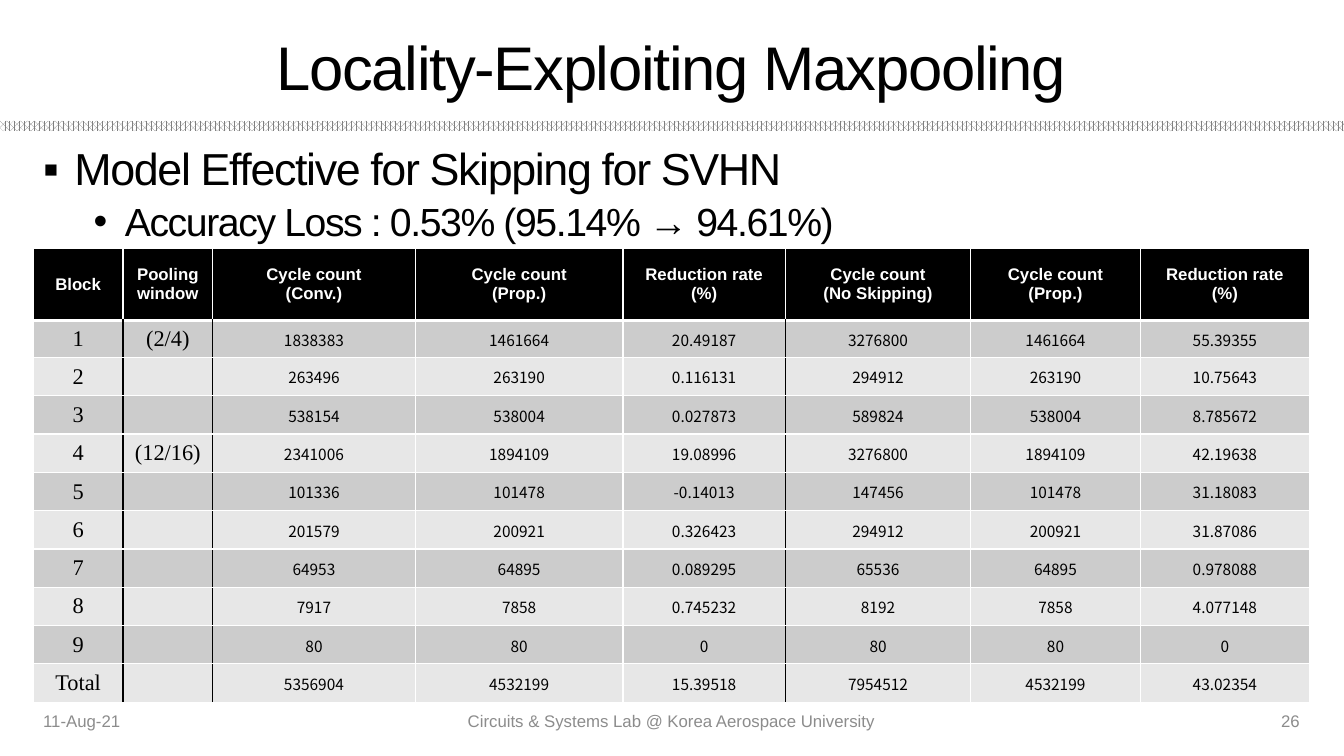
from lxml import etree
from pptx import Presentation
from pptx.dml.color import RGBColor
from pptx.enum.dml import MSO_PATTERN
from pptx.enum.shapes import MSO_SHAPE
from pptx.enum.text import MSO_ANCHOR, PP_ALIGN
from pptx.oxml.ns import qn
from pptx.util import Emu, Pt

PX = 9144  # 100 px to the inch
SLIDE_W, SLIDE_H = 1333, 750
LEFT, CENTER, RIGHT = PP_ALIGN.LEFT, PP_ALIGN.CENTER, PP_ALIGN.RIGHT
TOP, MIDDLE = MSO_ANCHOR.TOP, MSO_ANCHOR.MIDDLE
RECTANGLE = MSO_SHAPE.RECTANGLE
DENSE_DOTS = MSO_PATTERN.PERCENT_70
COLORS = {
    "ink": "000000",
    "paper": "FFFFFF",
    "footer": "8C8C8C",
    "divider": "808080",
    "odd_row": "CCCCCC",
    "even_row": "E7E7E7",
}

COLUMN_WIDTHS = [89, 89, 201, 206, 161, 184, 168, 168]
ROW_HEIGHTS = [72, 34] + [38] * 9
DARK_RULES_AFTER = {0, 1, 4}
LABEL_COLUMNS = 2
HEADERS = [
    "Block", "Pooling window", "Cycle count\n(Conv.)", "Cycle count\n(Prop.)",
    "Reduction rate\n(%)", "Cycle count\n(No Skipping)", "Cycle count\n(Prop.)",
    "Reduction rate\n(%)",
]
BLOCKS = [
    ["1", "(2/4)", "1838383", "1461664", "20.49187", "3276800", "1461664", "55.39355"],
    ["2", "", "263496", "263190", "0.116131", "294912", "263190", "10.75643"],
    ["3", "", "538154", "538004", "0.027873", "589824", "538004", "8.785672"],
    ["4", "(12/16)", "2341006", "1894109", "19.08996", "3276800", "1894109", "42.19638"],
    ["5", "", "101336", "101478", "-0.14013", "147456", "101478", "31.18083"],
    ["6", "", "201579", "200921", "0.326423", "294912", "200921", "31.87086"],
    ["7", "", "64953", "64895", "0.089295", "65536", "64895", "0.978088"],
    ["8", "", "7917", "7858", "0.745232", "8192", "7858", "4.077148"],
    ["9", "", "80", "80", "0", "80", "80", "0"],
    ["Total", "", "5356904", "4532199", "15.39518", "7954512", "4532199", "43.02354"],
]


def px(length):
    return Emu(length * PX)


def rgb(name):
    return RGBColor.from_string(COLORS[name])


def write(paragraph, text, size, color="ink", font="Arial", bold=False,
          align=LEFT, tracking=0):
    paragraph.alignment = align
    if not text:
        end = etree.SubElement(paragraph._p, qn("a:endParaRPr"))
        end.set("sz", str(size * 100))
        return
    run = paragraph.add_run()
    run.text = text
    run.font.size = Pt(size)
    run.font.name = font
    run.font.bold = bold
    run.font.color.rgb = rgb(color)
    if tracking:
        run._r.get_or_add_rPr().set("spc", str(tracking * 100))


def add_text_frame(slide, box, anchor=MIDDLE):
    frame = slide.shapes.add_textbox(*map(px, box)).text_frame
    frame.word_wrap = True
    frame.vertical_anchor = anchor
    return frame


def add_title(slide, box):
    write(add_text_frame(slide, box).paragraphs[0], "Locality-Exploiting Maxpooling",
          size=44, align=CENTER, tracking=-1)


def add_divider(slide, box):
    divider = slide.shapes.add_shape(RECTANGLE, *map(px, box))
    divider.shadow.inherit = False
    divider.line.fill.background()
    divider.fill.patterned()
    divider.fill.pattern = DENSE_DOTS
    divider.fill.fore_color.rgb = rgb("divider")
    divider.fill.back_color.rgb = rgb("paper")


def set_bullet(paragraph, char, indent, hang):
    props = paragraph._p.get_or_add_pPr()
    props.set("marL", str(px(indent)))
    props.set("indent", str(px(-hang)))
    etree.SubElement(props, qn("a:buFont")).set("typeface", "Arial")
    etree.SubElement(props, qn("a:buChar")).set("char", char)


def add_findings(slide, box):
    frame = add_text_frame(slide, box, TOP)
    findings = [
        ("Model Effective for Skipping for SVHN", 32, "▪", 31, 10),
        ("Accuracy Loss : 0.53% (95.14% → 94.61%)", 28, "•", 81, 5),
    ]
    for level, (text, size, bullet, indent, space) in enumerate(findings):
        paragraph = frame.add_paragraph() if level else frame.paragraphs[0]
        paragraph.level = level
        paragraph.line_spacing = 0.9
        paragraph.space_before = Pt(space)
        set_bullet(paragraph, bullet, indent, hang=31)
        write(paragraph, text, size, tracking=-1)


def set_border(cell, side, color, width):
    line = etree.SubElement(cell._tc.get_or_add_tcPr(), qn(f"a:ln{side}"))
    line.set("w", str(Pt(width)))
    fill = etree.SubElement(line, qn("a:solidFill"))
    etree.SubElement(fill, qn("a:srgbClr")).set("val", COLORS[color])


def format_cell(cell, row, column):
    def rule(after):
        return "ink" if row and after in DARK_RULES_AFTER else "paper"

    set_border(cell, "L", rule(column - 1), 1)
    set_border(cell, "R", rule(column), 1)
    set_border(cell, "T", "paper", 3 if row == 1 else 1)
    set_border(cell, "B", "paper", 1 if row else 3)
    cell.fill.solid()
    band = "odd_row" if row % 2 else "even_row"
    cell.fill.fore_color.rgb = rgb(band if row else "ink")
    cell.vertical_anchor = MIDDLE
    if row and column >= LABEL_COLUMNS:
        cell.margin_left = cell.margin_right = cell.margin_top = px(1)
        cell.margin_bottom = 0


def add_cycle_table(slide, box):
    rows = [HEADERS] + BLOCKS
    table = slide.shapes.add_table(len(rows), len(HEADERS), *map(px, box)).table
    table.horz_banding = False
    for column, width in zip(table.columns, COLUMN_WIDTHS):
        column.width = px(width)
    for row, height in zip(table.rows, ROW_HEIGHTS):
        row.height = px(height)

    header = dict(size=12, color="paper", bold=True)
    label = dict(size=16, font="Times New Roman")
    count = dict(size=11, font="Noto Sans CJK KR")
    for r, values in enumerate(rows):
        for c, value in enumerate(values):
            cell = table.cell(r, c)
            format_cell(cell, r, c)
            style = header if r == 0 else label if c < LABEL_COLUMNS else count
            frame = cell.text_frame
            for i, line in enumerate(value.split("\n")):
                paragraph = frame.add_paragraph() if i else frame.paragraphs[0]
                write(paragraph, line, align=CENTER, **style)


def add_footer(slide, box):
    left, top, width, height = box
    lab_width, number_width = 450, 304
    parts = [
        ("11-Aug-21", left, 300, LEFT),
        ("Circuits & Systems Lab @ Korea Aerospace University",
         left + (width - lab_width) // 2, lab_width, CENTER),
        ("26", left + width - number_width, number_width, RIGHT),
    ]
    for text, x, part_width, align in parts:
        frame = add_text_frame(slide, (x, top, part_width, height))
        write(frame.paragraphs[0], text, size=12, color="footer", align=align)


def main():
    prs = Presentation()
    prs.slide_width, prs.slide_height = px(SLIDE_W), px(SLIDE_H)
    slide = prs.slides.add_slide(prs.slide_layouts[6])
    margin, content_width = 33, 1266
    add_divider(slide, (0, 120, SLIDE_W, 10))
    add_findings(slide, (margin, 141, content_width, 535))
    add_footer(slide, (margin, 695, content_width, 40))
    add_title(slide, (margin, 22, content_width, 87))
    add_cycle_table(slide, (margin, 246, content_width, sum(ROW_HEIGHTS)))
    prs.save("out.pptx")


if __name__ == "__main__":
    main()
